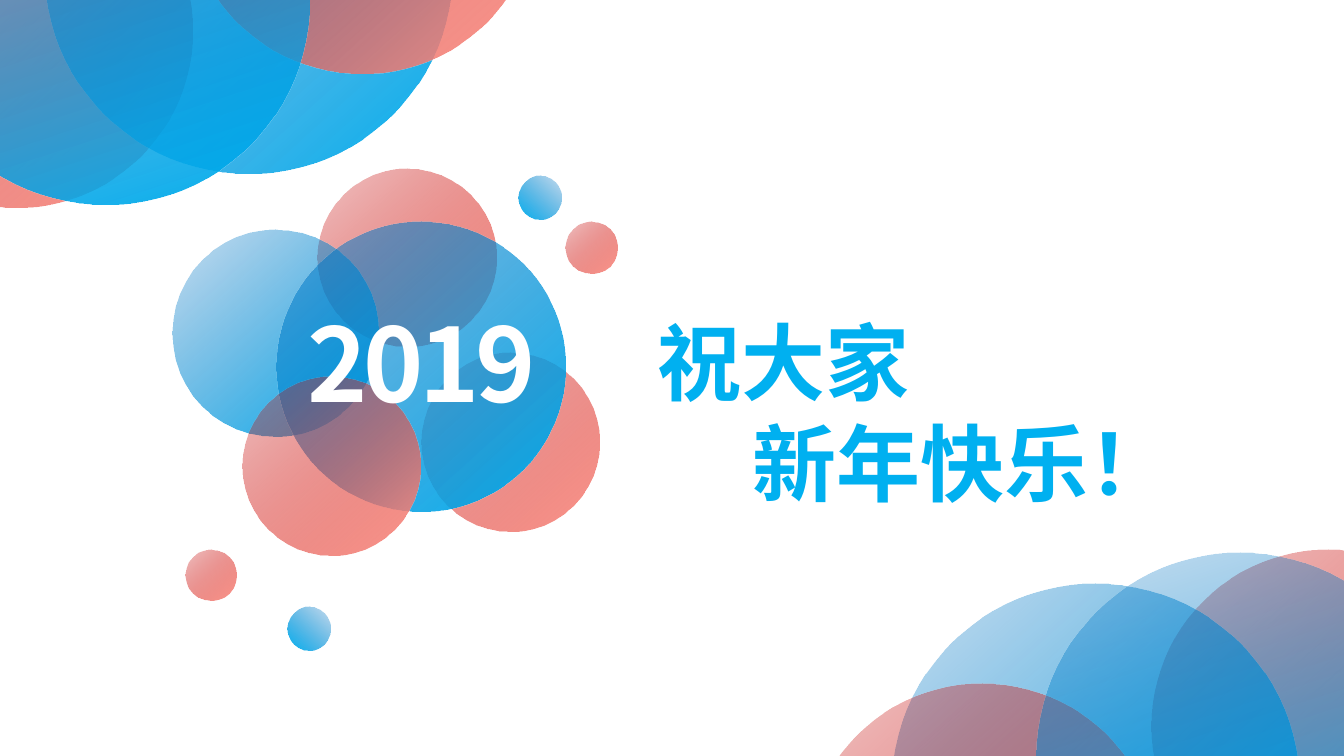
from dataclasses import dataclass

from pptx import Presentation
from pptx.dml.color import RGBColor
from pptx.enum.shapes import MSO_SHAPE
from pptx.enum.text import MSO_ANCHOR, MSO_AUTO_SIZE, PP_ALIGN
from pptx.oxml.ns import qn
from pptx.slide import Slide
from pptx.text.text import TextFrame, _Paragraph
from pptx.util import Cm, Pt

WHITE = RGBColor(0xFF, 0xFF, 0xFF)
SKY = RGBColor(0x00, 0xB0, 0xF0)
DEEP_BLUE = RGBColor(0x00, 0x70, 0xC0)
CORAL = RGBColor(0xFE, 0x97, 0x8C)
DEEP_RED = RGBColor(0xC0, 0x00, 0x00)

BLUE = (DEEP_BLUE, SKY)
RED = (DEEP_RED, CORAL)

BIG_BLUE, BIG_RED = 10.28, 8.9
PETAL, SIDE_PETAL, HEART = 4.5, 5.21, 7.3
BLUE_DOT, RED_DOT = 1.1, 1.3


@dataclass(frozen=True)
class Bubble:
    """A translucent circle, in centimetres, with its clockwise gradient angle."""

    left: float
    top: float
    diameter: float
    tint: tuple[RGBColor, RGBColor]
    angle: float = 48
    opacity: int = 22


TOP_LEFT_CORNER = [
    Bubble(-4.04, -3.66, BIG_RED, RED),
    Bubble(1.12, -5.92, BIG_BLUE, BLUE),
    Bubble(4.67, -7.04, BIG_RED, RED),
    Bubble(-2.49, -5.13, BIG_BLUE, BLUE, angle=72),
]
BOTTOM_RIGHT_CORNER = [
    Bubble(29.03, 13.84, BIG_RED, RED),
    Bubble(22.48, 14.71, BIG_BLUE, BLUE),
    Bubble(20.29, 17.22, BIG_RED, RED),
    Bubble(26.11, 13.92, BIG_BLUE, BLUE, angle=72),
]
FLOWER = [
    Bubble(8, 4.24, PETAL, RED),
    Bubble(10.62, 8.89, PETAL, RED),
    Bubble(4.34, 5.79, SIDE_PETAL, BLUE),
    Bubble(6.96, 5.59, HEART, BLUE, opacity=44),
    Bubble(13.06, 4.42, BLUE_DOT, BLUE, angle=132),
    Bubble(14.25, 5.59, RED_DOT, RED),
    Bubble(6.1, 9.5, PETAL, RED),
    Bubble(7.24, 15.29, BLUE_DOT, BLUE, angle=132),
    Bubble(4.67, 13.84, RED_DOT, RED),
]


def draw_bubble(slide: Slide, bubble: Bubble) -> None:
    """Draw one circle that fades in along its gradient."""
    circle = slide.shapes.add_shape(
        MSO_SHAPE.OVAL, Cm(bubble.left), Cm(bubble.top),
        Cm(bubble.diameter), Cm(bubble.diameter))
    circle.shadow.inherit = False
    circle.line.fill.background()
    circle.fill.gradient()
    circle.fill.gradient_angle = 360 - bubble.angle
    for stop, color in zip(circle.fill.gradient_stops, bubble.tint):
        stop.color.rgb = color
    faded = next(circle._element.spPr.iter(qn("a:srgbClr")))
    alpha = faded.makeelement(qn("a:alpha"), {"val": str(bubble.opacity * 1000)})
    faded.append(alpha)


def prepare_frame(frame: TextFrame, anchor: MSO_ANCHOR) -> None:
    """Give a text frame fixed size and the chosen vertical anchor."""
    frame.word_wrap = True
    frame.auto_size = MSO_AUTO_SIZE.NONE
    frame.vertical_anchor = anchor


def style_line(line: _Paragraph, font_name: str, size: float,
               color: RGBColor, align: PP_ALIGN) -> None:
    """Format one bold line of text."""
    line.alignment = align
    for run in line.runs:
        run.font.name = font_name
        run.font.size = Pt(size)
        run.font.bold = True
        run.font.color.rgb = color


def add_year(slide: Slide) -> None:
    """Write the year over the heart of the flower."""
    year = slide.shapes.add_textbox(Cm(7.04), Cm(7.35), Cm(7.19), Cm(3.51))
    prepare_frame(year.text_frame, MSO_ANCHOR.MIDDLE)
    year.text_frame.text = "2019"
    digits = year.text_frame.paragraphs[0]
    style_line(digits, "Noto Sans CJK SC", 73, WHITE, PP_ALIGN.CENTER)
    digits.runs[0].font._element.set("spc", "-300")


def add_greeting(slide: Slide) -> None:
    """Place the two-line wish in the title, its second line indented."""
    greeting = slide.shapes.title
    greeting.left, greeting.top = Cm(16.31), Cm(7.7)
    greeting.width, greeting.height = Cm(15.39), Cm(5.38)
    prepare_frame(greeting.text_frame, MSO_ANCHOR.TOP)
    greeting.text_frame.text = "祝大家\n新年快乐！"
    for line, indent in zip(greeting.text_frame.paragraphs, (0, 2.4)):
        style_line(line, "Roboto Condensed", 60, SKY, PP_ALIGN.LEFT)
        line.line_spacing = Pt(72)
        line.space_before = Pt(0)
        line._p.get_or_add_pPr().set("marL", str(Cm(indent)))


def main() -> None:
    """Build the New Year slide and save it."""
    deck = Presentation()
    deck.slide_width, deck.slide_height = Cm(33.87), Cm(19.05)
    slide = deck.slides.add_slide(deck.slide_layouts[5])
    slide.background.fill.solid()
    slide.background.fill.fore_color.rgb = WHITE
    for bubble in TOP_LEFT_CORNER + BOTTOM_RIGHT_CORNER + FLOWER:
        draw_bubble(slide, bubble)
    add_year(slide)
    add_greeting(slide)
    deck.save("out.pptx")


main()
